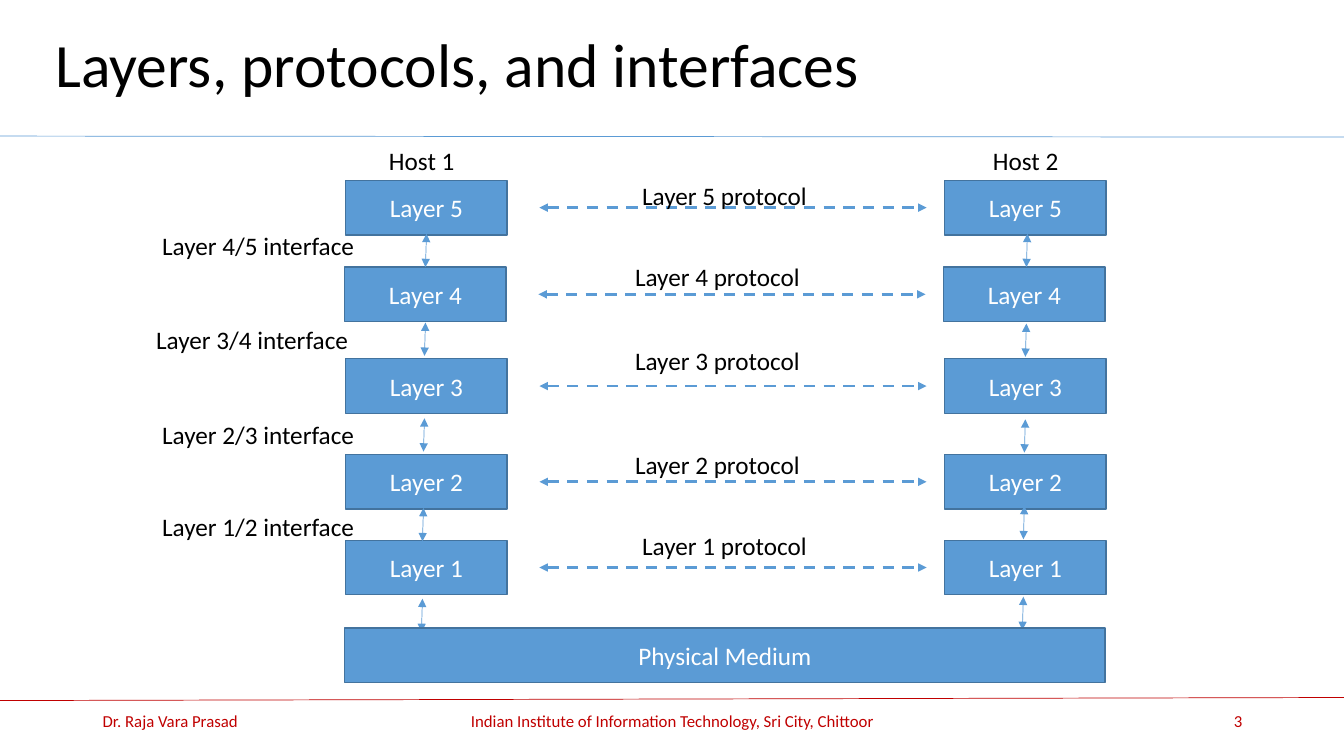
from lxml.etree import SubElement as Sub
from pptx import Presentation
from pptx.dml.color import RGBColor
from pptx.enum.dml import MSO_LINE as Dash
from pptx.enum.shapes import MSO_CONNECTOR as Conn, MSO_SHAPE as Shape
from pptx.enum.text import MSO_ANCHOR as Anchor, MSO_AUTO_SIZE as Fit, PP_ALIGN as Align
from pptx.oxml.ns import qn
from pptx.util import Inches, Pt

BLUE = RGBColor(0x5B, 0x9B, 0xD5)
EDGE = RGBColor(0x43, 0x73, 0x9E)
RED = RGBColor(0xC0, 0x00, 0x00)
BLACK = RGBColor(0, 0, 0)
WHITE = RGBColor(255, 255, 255)

WIDE, HIGH = 13.33, 7.5
BOX_W, BOX_H = 1.6, 0.54
LAYERS = (5, 4, 3, 2, 1)
# Offsets from the top of the diagram, layer 5 first
TOPS = (0.4, 1.26, 2.17, 3.12, 3.97)
NAMES = ((2.85, 0.35), (2.78, 1.15), (2.78, 1.99), (2.78, 3.02), (2.85, 3.82))
FACES = ((0.06, 0.85), (0, 1.78), (0.06, 2.72), (0.06, 3.63))


def shift(layer):
    """Layer 4 sits a hair to the left of the others."""
    return 0 if layer == 4 else 0.01


def write(shape, text, size, color, align=Align.LEFT, anchor=Anchor.MIDDLE):
    frame = shape.text_frame
    frame.text = text
    frame.word_wrap = True
    frame.auto_size = Fit.NONE
    frame.vertical_anchor = anchor
    para = frame.paragraphs[0]
    para.alignment = align
    font = para.runs[0].font
    font.name, font.size = "Calibri", Pt(size)
    font.color.rgb = color


def label(slide, box, text, size=18, color=BLACK, align=Align.LEFT, anchor=Anchor.TOP):
    shape = slide.shapes.add_textbox(*map(Inches, box))
    write(shape, text, size, color, align, anchor)


def block(slide, box, text):
    shape = slide.shapes.add_shape(Shape.RECTANGLE, *map(Inches, box))
    shape.shadow.inherit = False
    shape.fill.solid()
    shape.fill.fore_color.rgb = BLUE
    shape.line.color.rgb = EDGE
    shape.line.width = Pt(1)
    write(shape, text, 18, WHITE, Align.CENTER)


def line(slide, ends, color=BLUE, width=0.5, dash=False, arrows=False):
    link = slide.shapes.add_connector(Conn.STRAIGHT, *map(Inches, ends))
    link.line.color.rgb = color
    link.line.width = Pt(width)
    if dash:
        link.line.dash_style = Dash.DASH
    props = link._element.spPr
    if arrows:
        for tag in ("a:headEnd", "a:tailEnd"):
            Sub(props.find(qn("a:ln")), qn(tag)).set("type", "triangle")
    Sub(props, qn("a:effectLst"))


def header(slide, box):
    x, y, w, h = box
    title = slide.shapes.title
    title.left, title.top = Inches(x + 0.45), Inches(y + 0.02)
    title.width, title.height = Inches(12.51), Inches(1.3)
    write(title, "Layers, protocols, and interfaces", 44, BLACK)
    title.text_frame.paragraphs[0].line_spacing = 0.9
    line(slide, (x, y + h - 0.01, x + w, y + h))


def host(slide, box, name, indent, lead, starts):
    """One stack of layers, with an arrow below each."""
    x, y = box[:2]
    label(slide, (x + indent, y, 1.03, 0.4), name)
    for layer, top in zip(LAYERS, TOPS):
        block(slide, (x + shift(layer), y + top, BOX_W, BOX_H), f"Layer {layer}")
    for i, start in enumerate(starts):
        mid = x + lead - 0.01 * i
        line(slide, (mid, y + start, mid - 0.01, y + start + 0.33), arrows=True)


def links(slide, box):
    """Dashed protocol arrows between the two hosts."""
    x, y = box[:2]
    for layer, top, (dx, dy) in zip(LAYERS, TOPS, NAMES):
        left, mid = x + 1.92 + shift(layer), y + top + BOX_H / 2
        line(slide, (left, mid, left + 3.84, mid), width=2, dash=True, arrows=True)
        label(slide, (x + dx, y + dy, 1.98, 0.4), f"Layer {layer} protocol")


def faces(slide, box):
    """Interface names to the left of host 1."""
    x, y = box[:2]
    for layer, (dx, dy) in zip(LAYERS, FACES):
        label(slide, (x + dx, y + dy, 2.53, 0.4), f"Layer {layer - 1}/{layer} interface")


def stack(slide, box):
    x, y, w, h = box
    host(slide, (x, y, BOX_W, h), "Host 1", 0.34, 0.81,
         (0.93, 1.81, 2.76, 3.65, 4.55))
    host(slide, (x + 5.94, y, BOX_W, h), "Host 2", 0.39, 0.83,
         (0.93, 1.82, 2.77, 3.63, 4.53))
    block(slide, (x, y + h - BOX_H, w, BOX_H), "Physical Medium")
    links(slide, box)
    faces(slide, (x - 1.97, y, 2.59, h))


def footer(slide, box):
    x, y, w, h = box
    line(slide, (x, y, x + w, y - 0.03), RED)
    parts = (
        (0.92, 3, "Dr. Raja Vara Prasad", Align.LEFT),
        (4.42, 4.5, "Indian Institute of Information Technology, Sri City, Chittoor",
         Align.CENTER),
        (9.42, 3, "3", Align.RIGHT),
    )
    for dx, wide, text, align in parts:
        label(slide, (x + dx, y, wide, h), text, 12, RED, align, Anchor.MIDDLE)


def main():
    deck = Presentation()
    deck.slide_width, deck.slide_height = Inches(WIDE), Inches(HIGH)
    slide = deck.slides.add_slide(deck.slide_layouts[5])
    header(slide, (0, 0, WIDE, 1.36))
    stack(slide, (3.42, 1.39, 7.54, 5.38))
    footer(slide, (0, 6.95, WIDE, 0.4))
    deck.save("out.pptx")


if __name__ == "__main__":
    main()
